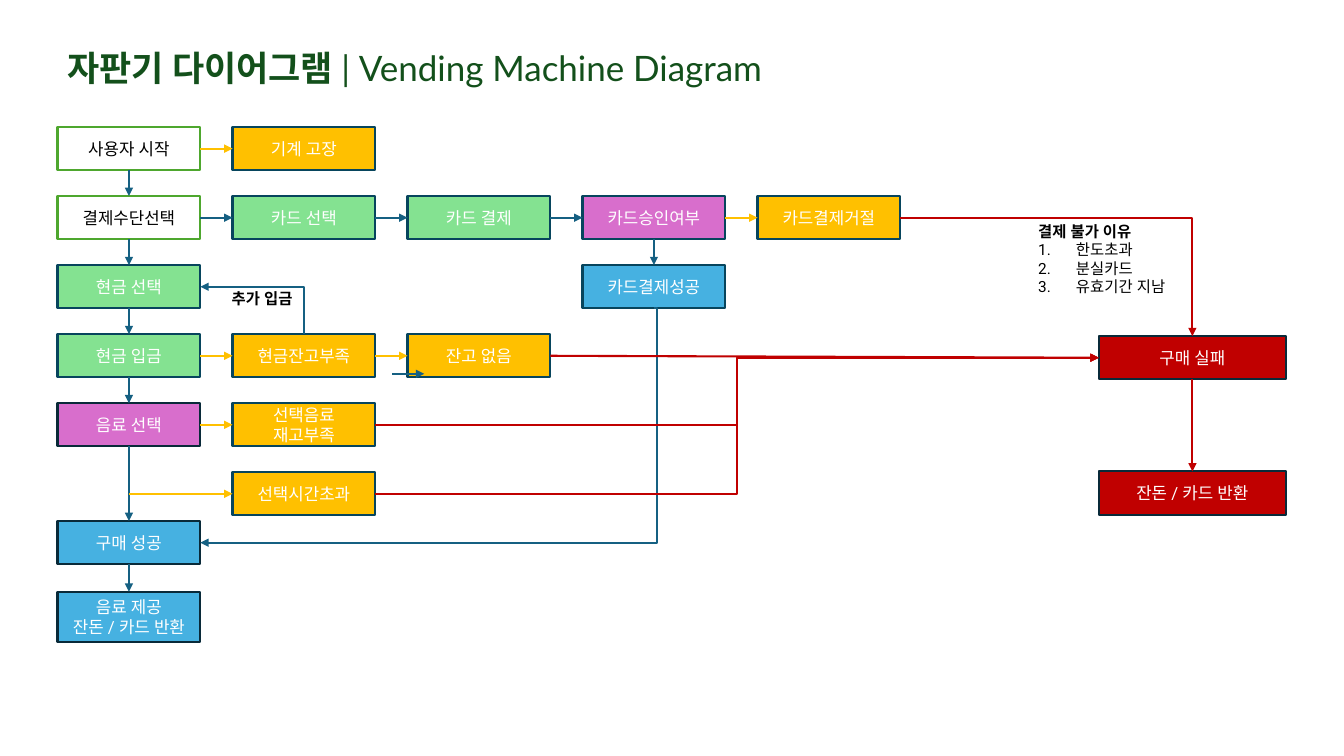
from collections import namedtuple
from lxml import etree
from pptx import Presentation
from pptx import util as u
from pptx.dml.color import RGBColor
from pptx.enum import shapes, text
from pptx.oxml.ns import qn

Cm, Pt = u.Cm, u.Pt
Box = namedtuple("Box", "left top width height")

BLACK = RGBColor(0x00, 0x00, 0x00)
WHITE = RGBColor(0xFF, 0xFF, 0xFF)
TITLE_GREEN = RGBColor(0x13, 0x50, 0x1B)
START_LINE = RGBColor(0x4E, 0xA7, 0x2E)
GREEN = RGBColor(0x84, 0xE2, 0x91)
YELLOW = RGBColor(0xFF, 0xC0, 0x00)
PURPLE = RGBColor(0xD8, 0x6E, 0xCC)
BLUE = RGBColor(0x46, 0xB1, 0xE1)
RED = RGBColor(0xC0, 0x00, 0x00)
TEAL = RGBColor(0x15, 0x60, 0x82)
EDGE = RGBColor(0x07, 0x45, 0x5D)
DARK_EDGE = RGBColor(0x09, 0x2A, 0x39)

COL, ROW = 4.41, 1.74
NODE_W, NODE_H = 3.6, 1.09


def write(p, words, size=12, font="Roboto", color=WHITE, bold=False):
    r = p.add_run()
    r.text = words
    r.font.size, r.font.name, r.font.bold = Pt(size), font, bold
    r.font.color.rgb = color
    ea = etree.SubElement(r.font._element, qn("a:ea"))
    ea.set("typeface", font)


def place(sp, box):
    sp.left, sp.top, sp.width, sp.height = map(Cm, box)


def node(s, box, words, fill, edge=EDGE, color=WHITE):
    sp = s.shapes.add_shape(shapes.MSO_SHAPE.RECTANGLE, *map(Cm, box))
    sp.shadow.inherit = False
    sp.fill.solid()
    sp.fill.fore_color.rgb = fill
    sp.line.color.rgb = edge
    sp.line.width = Pt(1.5)
    tf = sp.text_frame
    tf.word_wrap = True
    tf.margin_left = tf.margin_right = Cm(0.1)
    tf.vertical_anchor = text.MSO_ANCHOR.MIDDLE
    for i, line in enumerate(words.split("\n")):
        p = tf.add_paragraph() if i else tf.paragraphs[0]
        p.alignment = text.PP_ALIGN.CENTER
        write(p, line, color=color)
    return sp


def grid_node(s, box, col, row, words, fill, **kwargs):
    cell = Box(box.left + col * COL, box.top + row * ROW, NODE_W, NODE_H)
    return node(s, cell, words, fill, **kwargs)


def center(sp):
    return sp.left + sp.width // 2, sp.top + sp.height // 2


def arrow(s, start, end, color, preset="line", bend=None, tip="a:tailEnd"):
    kind = shapes.MSO_CONNECTOR.STRAIGHT if preset == "line" else shapes.MSO_CONNECTOR.ELBOW
    c = s.shapes.add_connector(kind, *start, *end)
    c.line.color.rgb = color
    c.line.width = Pt(1.5)
    spPr = c._element.spPr
    geom = spPr.find(qn("a:prstGeom"))
    geom.set("prst", preset)
    if bend is not None:
        guide = etree.SubElement(geom.find(qn("a:avLst")), qn("a:gd"))
        guide.set("name", "adj1")
        guide.set("fmla", f"val {bend}")
    etree.SubElement(spPr.find(qn("a:ln")), qn(tip)).set("type", "triangle")
    etree.SubElement(spPr, qn("a:effectLst"))
    return c


def link(s, a, b, color=TEAL):
    ax, ay = center(a)
    bx, by = center(b)
    if b.left > a.left + a.width:
        c = arrow(s, (a.left + a.width, ay), (b.left, by), color)
        sites = 3, 1
    else:
        c = arrow(s, (ax, a.top + a.height), (bx, b.top), color)
        sites = 2, 0
    c.begin_connect(a, sites[0])
    c.end_connect(b, sites[1])


def draw_title(s, box):
    sp = s.shapes.title
    place(sp, box)
    tf = sp.text_frame
    tf.word_wrap = True
    tf.auto_size = text.MSO_AUTO_SIZE.NONE
    tf.vertical_anchor = text.MSO_ANCHOR.MIDDLE
    p = tf.paragraphs[0]
    p.alignment = text.PP_ALIGN.LEFT
    p.line_spacing = 0.9
    write(p, "자판기 다이어그램 ", size=25, font="Lato", color=TITLE_GREEN, bold=True)
    write(p, "| Vending Machine Diagram", size=25, font="Lato", color=TITLE_GREEN)


def draw_reasons(s, box):
    sp = s.placeholders[1]
    place(sp, box)
    tf = sp.text_frame
    tf.word_wrap = True
    tf.auto_size = text.MSO_AUTO_SIZE.SHAPE_TO_FIT_TEXT
    for i, line in enumerate(["결제 불가 이유", "한도초과", "분실카드", "유효기간 지남"]):
        p = tf.add_paragraph() if i else tf.paragraphs[0]
        p.space_before = Pt(0)
        pPr = p._p.get_or_add_pPr()
        indent = Cm(0.95) if i else 0
        pPr.set("marL", str(indent))
        pPr.set("indent", str(-indent))
        if i:
            font = etree.SubElement(pPr, qn("a:buFont"))
            font.set("typeface", "+mj-lt")
            etree.SubElement(pPr, qn("a:buAutoNum")).set("type", "arabicPeriod")
        else:
            etree.SubElement(pPr, qn("a:buNone"))
        write(p, line, size=11, color=BLACK, bold=not i)


def draw_cash_flow(s, box):
    start = grid_node(s, box, 0, 0, "사용자 시작", WHITE, edge=START_LINE, color=BLACK)
    method = grid_node(s, box, 0, 1, "결제수단선택", WHITE, edge=START_LINE, color=BLACK)
    cash = grid_node(s, box, 0, 2, "현금 선택", GREEN)
    deposit = grid_node(s, box, 0, 3, "현금 입금", GREEN)
    drink = grid_node(s, box, 0, 4, "음료 선택", PURPLE, edge=DARK_EDGE)
    success = node(s, Box(box.left, box.top + 9.93, NODE_W, NODE_H), "구매 성공", BLUE, edge=DARK_EDGE)
    serve = node(s, Box(box.left, box.top + 11.71, NODE_W, 1.27),
                 "음료 제공\n잔돈 / 카드 반환", BLUE, edge=DARK_EDGE)
    broken = grid_node(s, box, 1, 0, "기계 고장", YELLOW)
    short = grid_node(s, box, 1, 3, "현금잔고부족", YELLOW)
    empty = grid_node(s, box, 2, 3, "잔고 없음", YELLOW)
    sold_out = grid_node(s, box, 1, 4, "선택음료\n재고부족", YELLOW)
    timeout = grid_node(s, box, 1, 5, "선택시간초과", YELLOW)

    steps = [start, method, cash, deposit, drink, success, serve]
    for a, b in zip(steps, steps[1:]):
        link(s, a, b)
    for a, b in [(start, broken), (deposit, short), (short, empty), (drink, sold_out)]:
        link(s, a, b, YELLOW)
    timeout_y = center(timeout)[1]
    arrow(s, (center(drink)[0], timeout_y), (timeout.left, timeout_y), YELLOW)
    arrow(s, (cash.left + cash.width, center(cash)[1]), (center(short)[0], short.top),
          TEAL, preset="bentConnector2", tip="a:headEnd")
    stub_x, stub_y = empty.left - Cm(0.39), empty.top + Cm(1)
    arrow(s, (stub_x, stub_y), (stub_x + Cm(0.81), stub_y), TEAL)

    label = s.shapes.add_textbox(*map(Cm, (box.left + 4.14, box.top + 3.96, 2.84, 0.74)))
    label.text_frame.word_wrap = True
    write(label.text_frame.paragraphs[0], "추가 입금", size=11, color=BLACK, bold=True)
    return method, success, empty, [sold_out, timeout]


def draw_card_flow(s, box, method, success):
    choose = grid_node(s, box, 0, 0, "카드 선택", GREEN)
    pay = grid_node(s, box, 1, 0, "카드 결제", GREEN)
    approve = grid_node(s, box, 2, 0, "카드승인여부", PURPLE)
    refused = grid_node(s, box, 3, 0, "카드결제거절", YELLOW)
    paid = grid_node(s, box, 2, 1, "카드결제성공", BLUE)
    for a, b in [(method, choose), (choose, pay), (pay, approve), (approve, paid)]:
        link(s, a, b)
    link(s, approve, refused, YELLOW)
    arrow(s, (center(paid)[0], paid.top + paid.height),
          (success.left + success.width, center(success)[1]),
          TEAL, preset="bentConnector3", bend=-600)
    return refused


def draw_failure(s, box, refused, empty, stock_errors):
    fail = node(s, Box(box.left, box.top, box.width, NODE_H), "구매 실패", RED, edge=DARK_EDGE)
    refund = node(s, Box(box.left, box.top + box.height - NODE_H, box.width, NODE_H),
                  "잔돈 / 카드 반환", RED, edge=DARK_EDGE)
    link(s, fail, refund, RED)
    link(s, empty, fail, RED)
    for sp in stock_errors:
        arrow(s, (sp.left + sp.width, center(sp)[1]), (fail.left, center(fail)[1]),
              RED, preset="bentConnector3")
    arrow(s, (refused.left + refused.width, center(refused)[1]), (center(fail)[0], fail.top),
          RED, preset="bentConnector2")


def main():
    prs = Presentation()
    prs.slide_width, prs.slide_height = Cm(33.87), Cm(19.05)
    s = prs.slides.add_slide(prs.slide_layouts[1])
    draw_title(s, Box(1.45, 1.14, 21.21, 1.27))
    draw_reasons(s, Box(25.91, 5.46, 4.19, 2.13))
    method, success, empty, stock_errors = draw_cash_flow(s, Box(1.45, 3.2, 12.42, 12.98))
    refused = draw_card_flow(s, Box(5.86, 4.94, 16.83, 2.83), method, success)
    draw_failure(s, Box(27.69, 8.47, 4.72, 4.5), refused, empty, stock_errors)
    prs.save("out.pptx")


if __name__ == "__main__":
    main()
